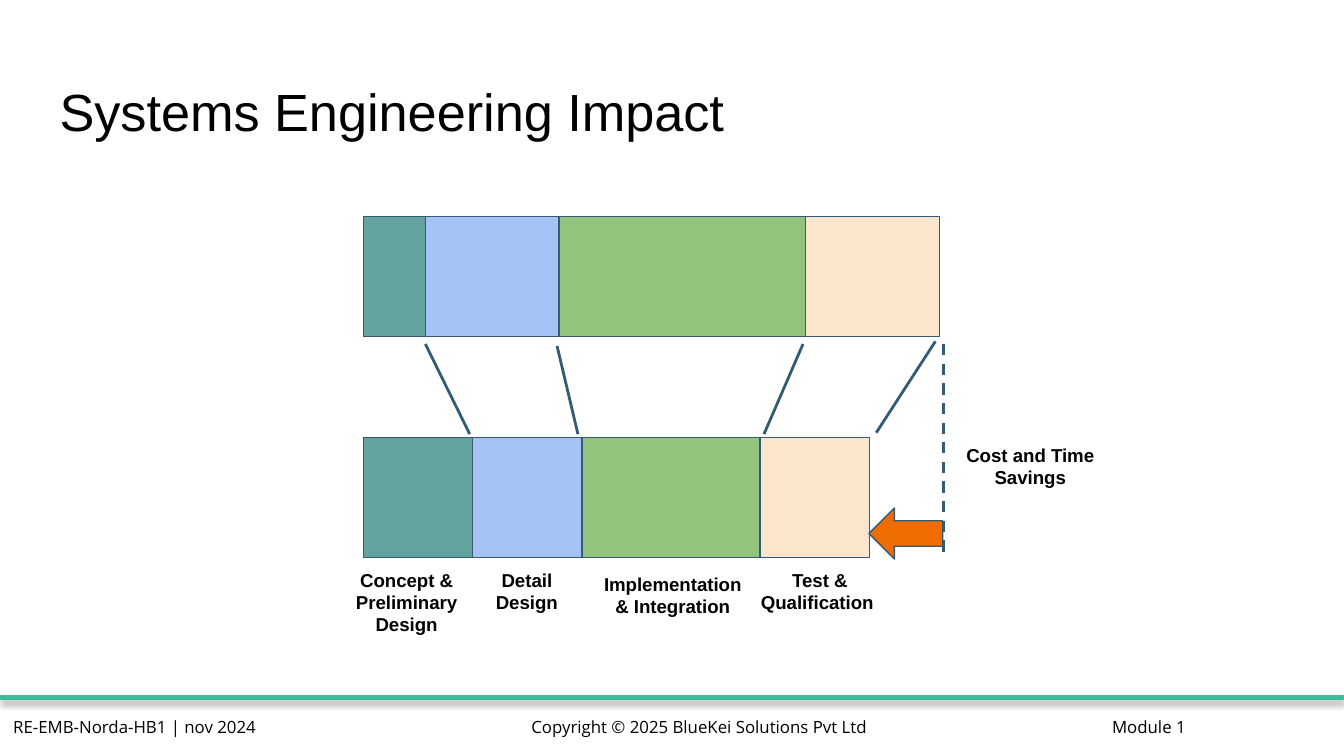
"""Build the slide comparing project phases with and without systems engineering."""
from itertools import pairwise
from typing import NamedTuple

from lxml import etree
from pptx import Presentation
from pptx.dml.color import RGBColor
from pptx.enum.dml import MSO_LINE_DASH_STYLE
from pptx.enum.shapes import MSO_CONNECTOR, MSO_SHAPE
from pptx.enum.text import MSO_ANCHOR, PP_ALIGN
from pptx.oxml.ns import qn
from pptx.util import Emu, Pt

LEFT, CENTER, RIGHT = PP_ALIGN.LEFT, PP_ALIGN.CENTER, PP_ALIGN.RIGHT
TOP, MIDDLE = MSO_ANCHOR.TOP, MSO_ANCHOR.MIDDLE
RECTANGLE, LEFT_ARROW = MSO_SHAPE.RECTANGLE, MSO_SHAPE.LEFT_ARROW
STRAIGHT = MSO_CONNECTOR.STRAIGHT
DASH = MSO_LINE_DASH_STYLE.DASH

EMU_PER_PX = 4572
WIDTH, HEIGHT = 2000, 1125
INSET = 20
BLACK, NAVY, ORANGE, GREEN = "000000", "335B74", "EF6C00", "42BA97"
PHASE_COLORS = ("62A39F", "A4C2F4", "93C47D", "FCE5CD")
BAR_HEIGHT = 179


class Box(NamedTuple):
    left: int
    top: int
    width: int
    height: int


class TextStyle(NamedTuple):
    size: int
    font: str
    bold: bool = False
    anchor: MSO_ANCHOR = TOP


class Label(NamedTuple):
    text: str
    box: Box
    style: TextStyle
    alignment: PP_ALIGN = CENTER


class Bar(NamedTuple):
    top: int
    edges: tuple[int, ...]


class Line(NamedTuple):
    start: tuple[int, int]
    end: tuple[int, int]
    color: str = NAVY
    width: float = 1.5
    dashed: bool = False


TITLE = TextStyle(28, "Arial")
CAPTION = TextStyle(10, "Arial", bold=True)
FOOTER = TextStyle(9, "Open Sans", anchor=MIDDLE)

LABELS = (
    Label("Copyright © 2025 BlueKei Solutions Pvt Ltd", Box(765, 1042, 544, 80), FOOTER, RIGHT),
    Label("RE-EMB-Norda-HB1 | nov 2024", Box(0, 1042, 474, 80), FOOTER, LEFT),
    Label("Module 1", Box(1310, 1042, 474, 80), FOOTER, RIGHT),
    Label("Systems Engineering Impact", Box(69, 98, 1864, 126), TITLE, LEFT),
    Label("Concept & Preliminary Design", Box(506, 826, 198, 114), CAPTION),
    Label("Detail Design", Box(702, 826, 164, 114), CAPTION),
    Label("Implementation & Integration", Box(876, 832, 250, 114), CAPTION),
    Label("Test & Qualification ", Box(1106, 826, 228, 114), CAPTION),
    Label("Cost and Time Savings", Box(1391, 640, 284, 114), CAPTION),
)
BARS = (
    Bar(322, (541, 633, 832, 1199, 1398)),
    Bar(651, (541, 703, 866, 1131, 1294)),
)
PHASE_LINES = (
    Line((633, 512), (699, 646)),
    Line((829, 515), (860, 646)),
    Line((1195, 512), (1137, 646)),
    Line((1392, 508), (1304, 644)),
    Line((1404, 512), (1404, 832), dashed=True),
)
FOOTER_RULE = Line((0, 1038), (WIDTH, 1038), GREEN, 3)
SAVINGS_ARROW = Box(1293, 756, 110, 76)


def px(length: int) -> Emu:
    """Turn a length in px into EMU."""
    return Emu(length * EMU_PER_PX)


def color(value: str) -> RGBColor:
    """Turn a hex string into a colour."""
    return RGBColor.from_string(value)


def draw_label(slide, label: Label) -> None:
    """Draw one styled text box."""
    shape = slide.shapes.add_textbox(*map(px, label.box))
    frame = shape.text_frame
    frame.word_wrap = True
    frame.vertical_anchor = label.style.anchor
    frame.margin_left = frame.margin_right = px(INSET)
    frame.margin_top = frame.margin_bottom = px(INSET)
    frame.text = label.text
    paragraph = frame.paragraphs[0]
    paragraph.alignment = label.alignment
    font = paragraph.runs[0].font
    font.name = label.style.font
    font.size = Pt(label.style.size)
    font.bold = label.style.bold
    font.color.rgb = color(BLACK)


def draw_shape(slide, kind: MSO_SHAPE, box: Box, fill: str) -> None:
    """Draw one filled shape with a thin navy outline."""
    shape = slide.shapes.add_shape(kind, *map(px, box))
    shape.shadow.inherit = False
    shape.fill.solid()
    shape.fill.fore_color.rgb = color(fill)
    shape.line.color.rgb = color(NAVY)
    shape.line.width = Pt(0.75)


def draw_bar(slide, bar: Bar) -> None:
    """Draw a row of adjoining phase blocks."""
    for (left, right), fill in zip(pairwise(bar.edges), PHASE_COLORS):
        draw_shape(slide, RECTANGLE, Box(left, bar.top, right - left, BAR_HEIGHT), fill)


def draw_line(slide, line: Line) -> etree.ElementBase:
    """Draw one straight line and return its empty effect list."""
    connector = slide.shapes.add_connector(STRAIGHT, *map(px, line.start + line.end))
    connector.line.color.rgb = color(line.color)
    connector.line.width = Pt(line.width)
    if line.dashed:
        connector.line.dash_style = DASH
    return etree.SubElement(connector._element.spPr, qn("a:effectLst"))


def add_soft_shadow(effects: etree.ElementBase) -> None:
    """Add a soft downward shadow to an effect list."""
    shadow = etree.SubElement(
        effects, qn("a:outerShdw"), blurRad=str(Pt(3.1)), dist=str(Pt(1.8)),
        dir="5400000", rotWithShape="0",
    )
    shade = etree.SubElement(shadow, qn("a:srgbClr"), val=BLACK)
    etree.SubElement(shade, qn("a:alpha"), val="35000")


def main() -> None:
    """Build and save the presentation."""
    presentation = Presentation()
    presentation.slide_width, presentation.slide_height = px(WIDTH), px(HEIGHT)
    slide = presentation.slides.add_slide(presentation.slide_layouts[6])
    add_soft_shadow(draw_line(slide, FOOTER_RULE))
    for bar in BARS:
        draw_bar(slide, bar)
    for line in PHASE_LINES:
        draw_line(slide, line)
    draw_shape(slide, LEFT_ARROW, SAVINGS_ARROW, ORANGE)
    for label in LABELS:
        draw_label(slide, label)
    presentation.save("out.pptx")


if __name__ == "__main__":
    main()
